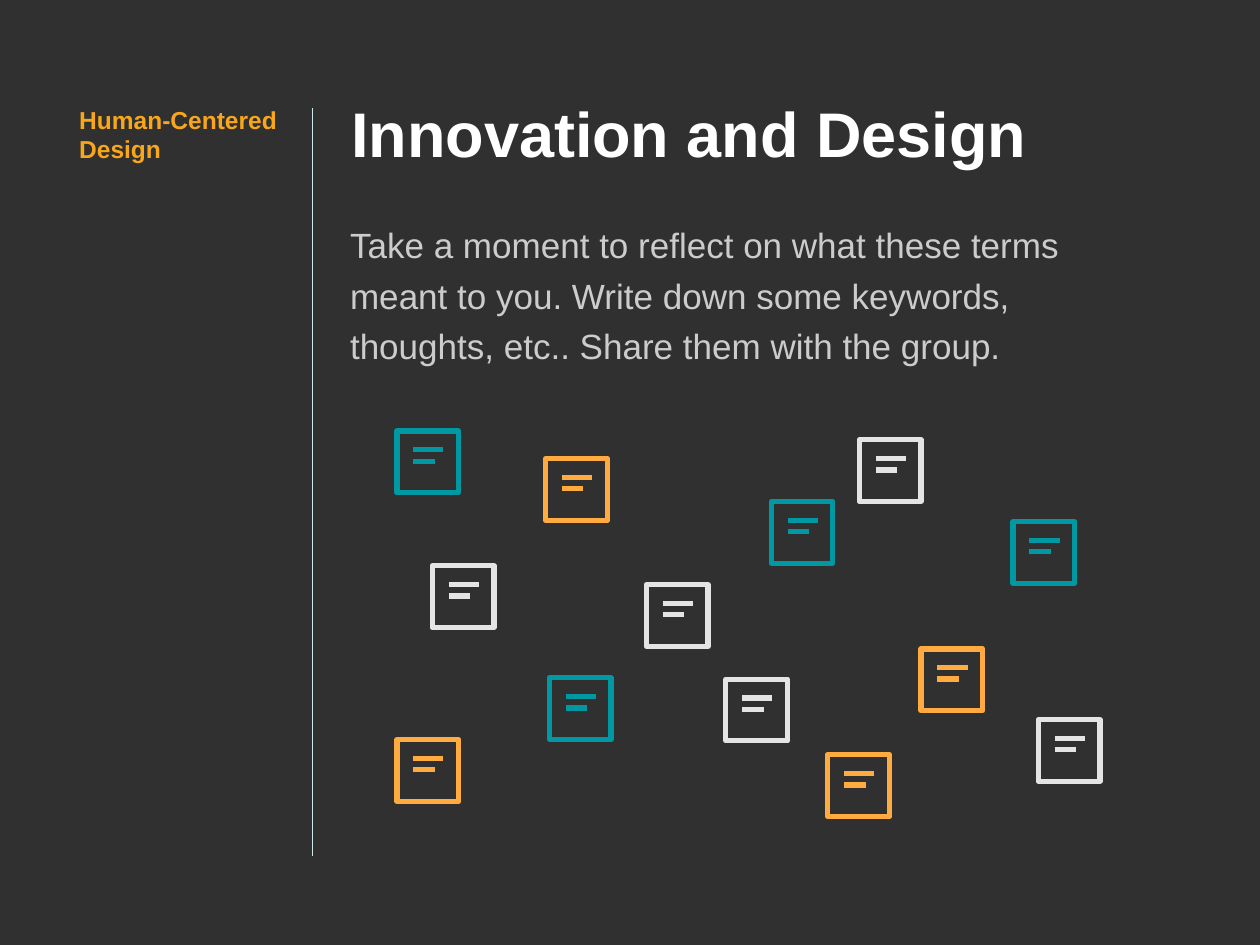
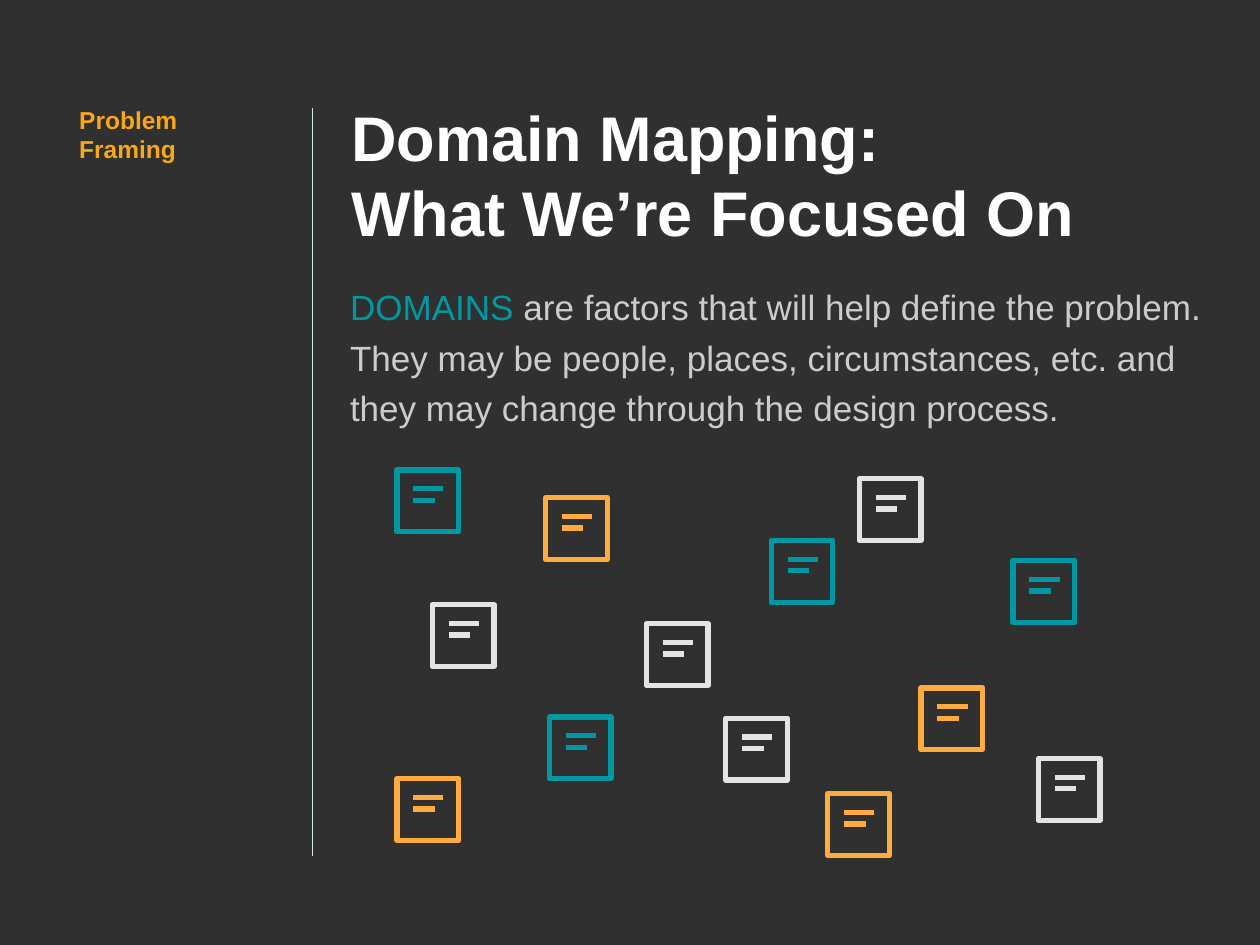
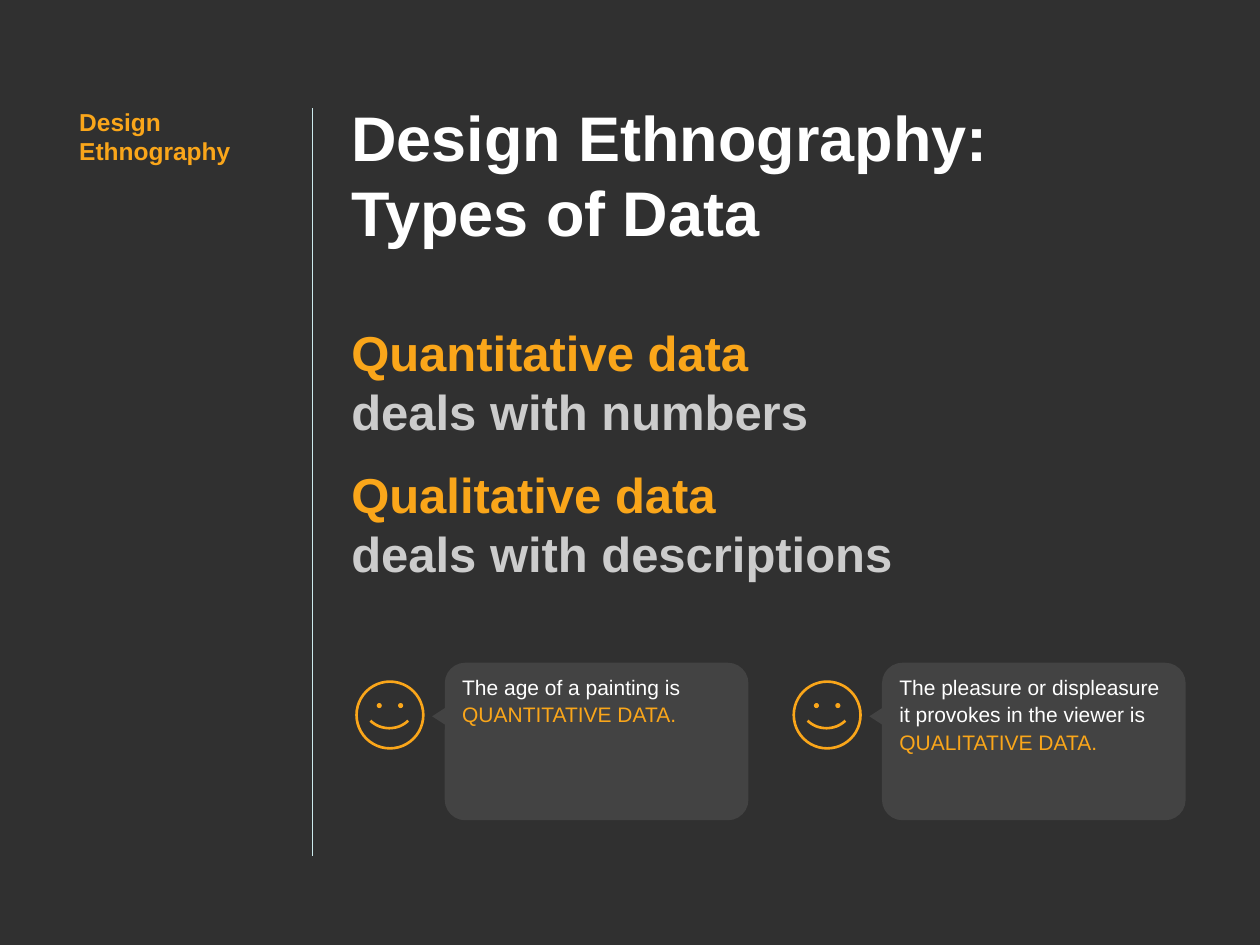
from pptx import Presentation
from pptx.dml.color import RGBColor
from pptx.enum.shapes import MSO_CONNECTOR as CONNECTOR, MSO_SHAPE as SHAPE
from pptx.enum.text import MSO_ANCHOR as ANCHOR
from pptx.oxml.ns import qn
from pptx.util import Inches, Pt
from lxml.etree import SubElement

FONT = "Arial"
BACKGROUND, RULE, WHITE, GREY = "303030", "CCEAEC", "FFFFFF", "CCCCCC"
ORANGE, AMBER, TEAL, PALE, BUBBLE = "FAA61A", "FFAB40", "0098A2", "E4E4E4", "434343"

# Sticky notes: left, top, colour, relative to the top left of the notes area
NOTES = [
    (0.28, 1.07, PALE), (3.67, 0.07, PALE), (2.61, 1.97, PALE),
    (5.09, 2.29, PALE), (1.98, 1.22, PALE),
    (4.89, 0.72, TEAL), (2.97, 0.56, TEAL), (1.21, 1.96, TEAL), (0, 0, TEAL),
    (4.16, 1.73, AMBER), (3.42, 2.57, AMBER), (0, 2.45, AMBER), (1.18, 0.22, AMBER),
]
NOTE_SIZE = 0.49


def color(value):
    return RGBColor.from_string(value)


def add_text(slide, left, top, width, height, paragraphs, size=12, bold=False,
             spacing=None):
    """Each paragraph is (space before, [(text, colour), ...]); newlines break lines."""
    box = slide.shapes.add_textbox(Inches(left), Inches(top), Inches(width), Inches(height))
    frame = box.text_frame
    frame.word_wrap = True
    frame.vertical_anchor = ANCHOR.TOP
    frame.margin_left = frame.margin_right = Inches(0.1)
    frame.margin_top = frame.margin_bottom = Inches(0.1)
    for index, (before, runs) in enumerate(paragraphs):
        paragraph = frame.paragraphs[0] if index == 0 else frame.add_paragraph()
        if before:
            paragraph.space_before = Pt(before)
        if spacing:
            paragraph.line_spacing = spacing
        for text, text_color in runs:
            for number, line in enumerate(text.split("\n")):
                if number:
                    paragraph.add_line_break()
                run = paragraph.add_run()
                run.text = line
                run.font.name = FONT
                run.font.size = Pt(size)
                run.font.bold = bold
                run.font.color.rgb = color(text_color)
    return box


def style_shape(shape, fill=None, line=None, weight=1.5):
    shape.shadow.inherit = False
    if fill:
        shape.fill.solid()
        shape.fill.fore_color.rgb = color(fill)
    else:
        shape.fill.background()
    if line:
        shape.line.color.rgb = color(line)
        shape.line.width = Pt(weight)
    else:
        shape.line.fill.background()


def add_shape(slide, kind, left, top, width, height, **style):
    shape = slide.shapes.add_shape(
        kind, Inches(left), Inches(top), Inches(width), Inches(height))
    style_shape(shape, **style)
    return shape


def add_line(slide, x1, y1, x2, y2, line_color, weight):
    line = slide.shapes.add_connector(
        CONNECTOR.STRAIGHT, Inches(x1), Inches(y1), Inches(x2), Inches(y2))
    line.line.color.rgb = color(line_color)
    line.line.width = Pt(weight)
    SubElement(line._element.spPr, qn("a:effectLst"))


def add_base_slide(presentation, section, section_top=0.73):
    """Dark slide with the section label and the vertical rule."""
    slide = presentation.slides.add_slide(presentation.slide_layouts[6])
    slide.background.fill.solid()
    slide.background.fill.fore_color.rgb = color(BACKGROUND)
    add_line(slide, 2.48, 0.86, 2.48, 6.79, RULE, 0.75)
    add_text(slide, 0.53, section_top, 1.79, 0.67, [(0, [(section, ORANGE)])],
             size=14, bold=True)
    return slide


def add_title(slide, top, height, title):
    add_text(slide, 2.69, top, 6.97, height, [(0, [(title, WHITE)])], size=36, bold=True)


def add_body(slide, top, width, runs):
    add_text(slide, 2.68, top, width, 1.61, [(0, runs)], size=20, spacing=1.2)


def add_note(slide, left, top, note_color):
    add_shape(slide, SHAPE.RECTANGLE, left, top, NOTE_SIZE, NOTE_SIZE,
              line=note_color, weight=3)
    for down, length in ((0.15, 0.24), (0.24, 0.17)):
        add_line(slide, left + 0.13, top + down, left + 0.13 + length, top + down,
                 note_color, 3)


def add_notes(slide, left, top):
    for across, down, note_color in NOTES:
        add_note(slide, left + across, top + down, note_color)


def add_smile(slide, left, top, width, depth, steps=16):
    """Open curve sampled from a cubic with its ends level."""
    points = []
    for step in range(steps + 1):
        t = step / steps
        across = 3 * t * (1 - t) ** 2 * 0.27 + 3 * t ** 2 * (1 - t) * 0.73 + t ** 3
        down = 3 * t * (1 - t) * depth
        points.append((Inches(left + width * across), Inches(top + down)))
    builder = slide.shapes.build_freeform(*points[0])
    builder.add_line_segments(points[1:], close=False)
    style_shape(builder.convert_to_shape(), line=ORANGE)


def add_face(slide, left, top):
    add_shape(slide, SHAPE.OVAL, left, top, 0.53, 0.53, line=ORANGE)
    for eye in (0.16, 0.33):
        add_shape(slide, SHAPE.OVAL, left + eye, top + 0.17, 0.04, 0.04, fill=ORANGE)
    add_smile(slide, left + 0.11, top + 0.31, 0.3, 0.08)


def add_speaker(slide, left, top, statement, data_type):
    """Face with a speech bubble to its right."""
    pointer = add_shape(slide, SHAPE.ISOSCELES_TRIANGLE, left + 0.56, top + 0.29,
                        0.35, 0.27, fill=BUBBLE)
    pointer.rotation = 270
    bubble = add_shape(slide, SHAPE.ROUNDED_RECTANGLE, left + 0.7, top, 2.41, 1.25,
                       fill=BUBBLE)
    bubble.adjustments[0] = 0.13
    add_face(slide, left, top + 0.15)
    add_text(slide, left + 0.74, top - 0.03, 2.36, 1.25,
             [(0, [(statement, WHITE), (" " + data_type, ORANGE)])], spacing=1.1)


def build_innovation(presentation):
    slide = add_base_slide(presentation, "Human-Centered Design")
    add_title(slide, 0.65, 0.83, "Innovation and Design")
    add_body(slide, 1.61, 6.42, [(
        "Take a moment to reflect on what these terms meant to you. "
        "Write down some keywords, thoughts, etc.. Share them with the group.", GREY)])
    add_notes(slide, 3.15, 3.42)


def build_domain_mapping(presentation):
    slide = add_base_slide(presentation, "Problem\nFraming")
    add_title(slide, 0.68, 1.4, "Domain Mapping:\nWhat We’re Focused On")
    add_body(slide, 2.1, 6.97, [
        ("DOMAINS ", TEAL),
        ("are factors that will help define the problem. They may be people, places, "
         "circumstances, etc. and they may change through the design process.", GREY)])
    add_notes(slide, 3.15, 3.73)


def build_data_types(presentation):
    slide = add_base_slide(presentation, "Design\nEthnography", section_top=0.75)
    add_title(slide, 0.68, 1.4, "Design Ethnography:\nTypes of Data")
    add_text(slide, 2.69, 2.46, 6.17, 2.2, [
        (0, [("Quantitative data\n", ORANGE), ("deals with numbers", GREY)]),
        (14, [("Qualitative data\n", ORANGE), ("deals with descriptions", GREY)]),
    ], size=28, bold=True)
    add_speaker(slide, 2.83, 5.26, "The age of a painting is", "QUANTITATIVE DATA.")
    add_speaker(slide, 6.3, 5.26, "The pleasure or displeasure it provokes in the viewer is",
                "QUALITATIVE DATA.")


def main():
    presentation = Presentation()
    presentation.slide_width = Inches(10)
    presentation.slide_height = Inches(7.5)
    build_innovation(presentation)
    build_domain_mapping(presentation)
    build_data_types(presentation)
    presentation.save("out.pptx")


if __name__ == "__main__":
    main()
